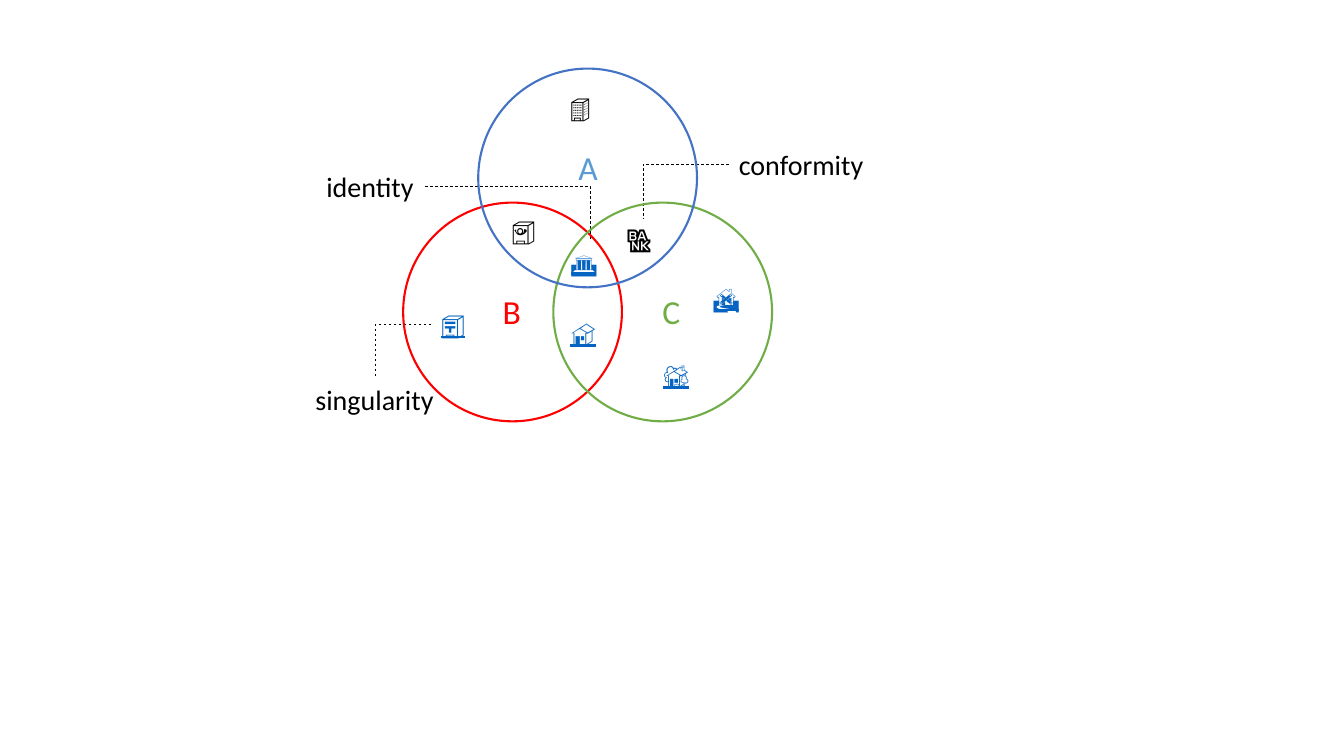
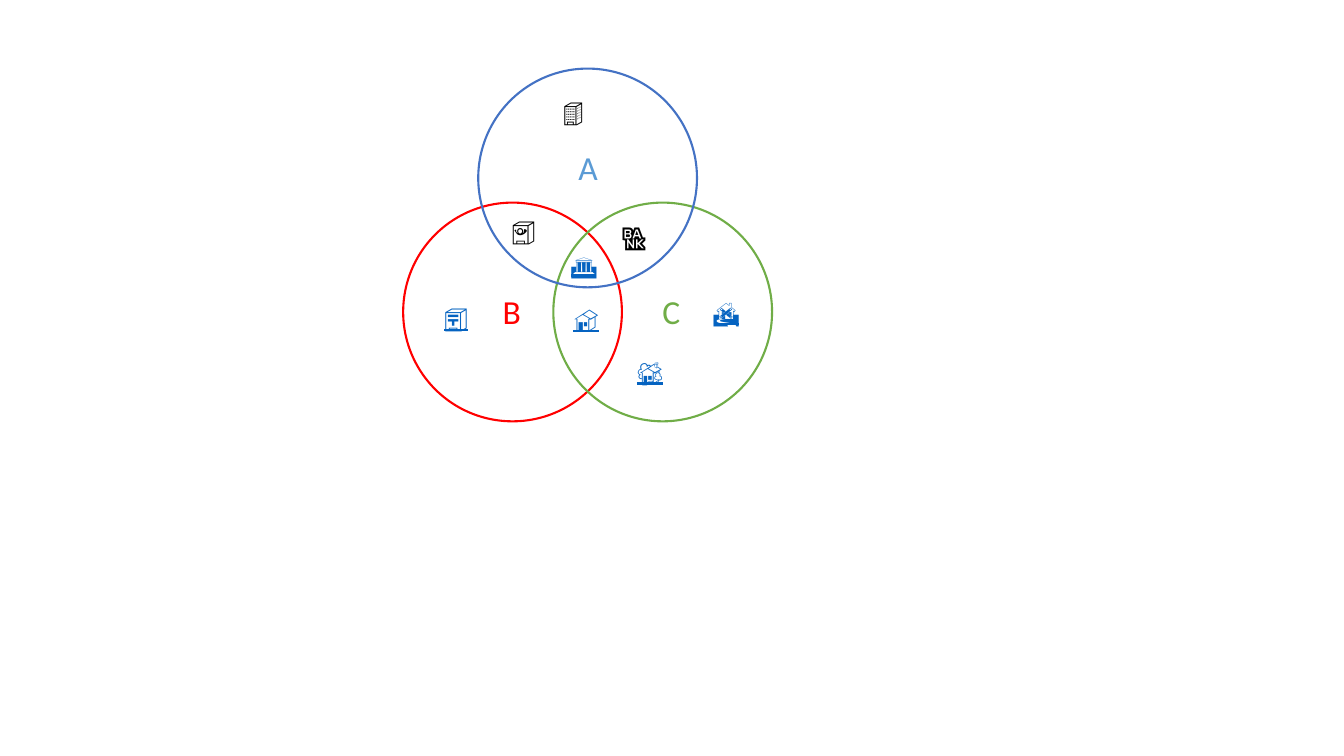
from collections import namedtuple

from pptx import Presentation
from pptx.dml.color import RGBColor
from pptx.enum.dml import MSO_LINE
from pptx.enum.shapes import MSO_CONNECTOR as CONNECTOR, MSO_SHAPE as SHAPE
from pptx.enum.text import MSO_AUTO_SIZE as AUTO_SIZE
from pptx.oxml.ns import qn
from pptx.oxml.xmlchemy import OxmlElement
from pptx.util import Pt

Box = namedtuple("Box", "left top width height")

FONT = "Calibri"
COLORS = {
    "ink": "000000",
    "link": "0563C1",
    "red": "FF0000",
    "green": "70AD47",
    "blue": "4472C4",
    "sky": "5B9BD5",
}

# Venn geometry: two circles below, one centred above them
VENN = Box(288, 49, 263.5, 252)
DIAMETER = 156.25
STEP = VENN.width - DIAMETER
DROP = VENN.height - DIAMETER
CIRCLES = [("red", 0, DROP), ("green", STEP, DROP), ("blue", STEP / 2, 0)]
LETTERS = [
    ("B", "red", 64, 155.5),
    ("C", "green", 178, 155.5),
    ("A", "sky", 118, 52.5),
]

# Icon name: character, colour, box width
ICONS = {
    "office": ("\U0001F3E2", "ink", 39.6),
    "bank": ("\U0001F3E6", "ink", 37.4),
    "post": ("\U0001F3E4", "ink", 36.7),
    "house": ("\U0001F3E0", "link", 41.8),
    "garden": ("\U0001F3E1", "link", 48.2),
    "derelict": ("\U0001F3DA\uFE0F", "link", 36.7),
    "mail": ("\U0001F3E3", "link", 36.7),
    "museum": ("\U0001F3DB\uFE0F", "link", 42),
}
ICON_HEIGHT = 29

# Icon positions inside the Venn box
LABELLED_SPOTS = {
    "office": (112.3, 13.6),
    "bank": (152.6, 107.2),
    "post": (70.6, 101.5),
    "house": (112.3, 174.2),
    "garden": (178.6, 204.4),
    "derelict": (214.6, 149),
    "mail": (20.2, 168.4),
    "museum": (113, 123.1),
}
PLAIN_SPOTS = {
    "office": (107.3, 16.5),
    "bank": (149, 105.8),
    "post": (70.6, 101.5),
    "house": (114.5, 164.1),
    "garden": (159.8, 201.6),
    "derelict": (214.6, 159.1),
    "mail": (22.3, 163.4),
    "museum": (113, 124.5),
}

# Label: box inside the Venn box, icon it points to
LABELS = {
    "conformity": (Box(232.6, 52.5, 106.6, 31.5), "bank"),
    "singularity": (Box(-69.8, 221, 100, 31.5), "mail"),
    "identity": (Box(-62, 68.4, 77.8, 31.5), "museum"),
}


def color(name):
    return RGBColor.from_string(COLORS[name])


def points(*values):
    return [Pt(value) for value in values]


def inside(frame, box):
    """Move a box given relative to a frame onto the slide."""
    return box._replace(left=frame.left + box.left, top=frame.top + box.top)


def add_text(page, box, text, size, tint, underline=None, wrap=True):
    text_box = page.shapes.add_textbox(*points(*box))
    frame = text_box.text_frame
    frame.word_wrap = wrap
    frame.auto_size = AUTO_SIZE.SHAPE_TO_FIT_TEXT
    span = frame.paragraphs[0].add_run()
    span.text = text
    span.font.name = FONT
    span.font.size = Pt(size)
    span.font.underline = underline
    span.font.color.rgb = color(tint)


def add_leader(page, start, end):
    """Dashed elbow that runs sideways first, then up or down."""
    leader = page.shapes.add_connector(CONNECTOR.ELBOW, *points(*start, *end))
    leader.line.color.rgb = color("ink")
    leader.line.width = Pt(0.5)
    leader.line.dash_style = MSO_LINE.DASH
    properties = leader._element.spPr
    properties.find(qn("a:prstGeom")).set("prst", "bentConnector2")
    properties.append(OxmlElement("a:effectLst"))


def add_labels(page, frame, spots):
    for text, (place, target) in LABELS.items():
        label = inside(frame, place)
        icon = inside(frame, Box(*spots[target], ICONS[target][2], ICON_HEIGHT))
        add_text(page, label, text, 20, "ink")

        label_middle = label.top + label.height / 2
        icon_center = icon.left + icon.width / 2
        if label.top > icon.top:  # label below its icon
            start = (icon.left, icon.top + icon.height / 2)
            end = (label.left + label.width / 2, label.top)
        else:
            beside_right = label.left > icon.left
            edge = label.left if beside_right else label.left + label.width
            start = (edge, label_middle)
            end = (icon_center, icon.top)
        add_leader(page, start, end)


def add_venn(page, frame, spots):
    # Circles
    for tint, left, top in CIRCLES:
        place = inside(frame, Box(left, top, DIAMETER, DIAMETER))
        circle = page.shapes.add_shape(SHAPE.OVAL, *points(*place))
        circle.shadow.inherit = False
        circle.fill.background()
        circle.line.color.rgb = color(tint)
        circle.line.width = Pt(1.5)

    # Set letters
    for letter, tint, left, top in LETTERS:
        place = inside(frame, Box(left, top, 28.5, 36))
        add_text(page, place, letter, 24, tint, wrap=False)

    # Icons; the linked ones are underlined
    for name, (icon, tint, width) in ICONS.items():
        place = inside(frame, Box(*spots[name], width, ICON_HEIGHT))
        add_text(page, place, icon, 18, tint, underline=tint == "link" or None)


def add_page(deck, spots, labelled):
    page = deck.slides.add_slide(deck.slide_layouts.get_by_name("Blank"))
    if labelled:
        add_labels(page, VENN, spots)
    add_venn(page, VENN, spots)


deck = Presentation()
deck.slide_width, deck.slide_height = points(960, 540)
add_page(deck, LABELLED_SPOTS, labelled=True)
add_page(deck, PLAIN_SPOTS, labelled=False)
deck.save("out.pptx")
